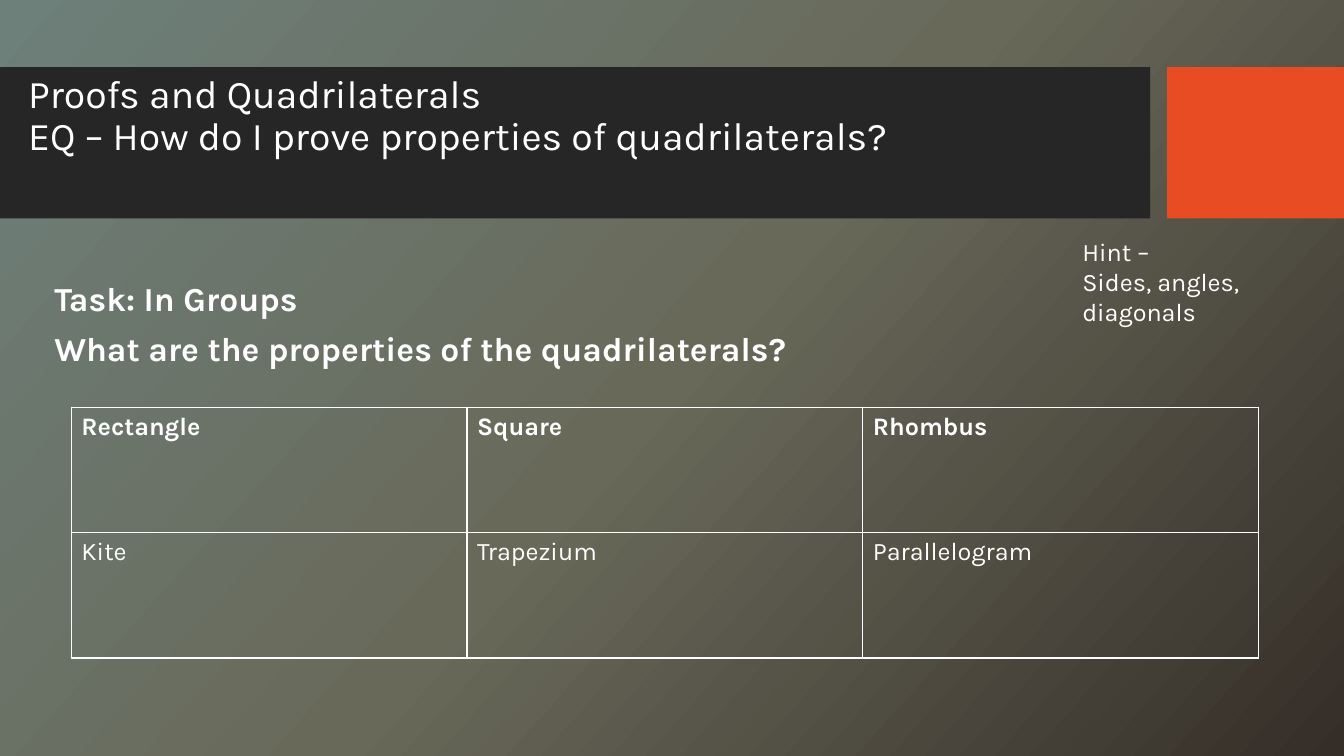
from copy import deepcopy

from lxml import etree
from pptx import Presentation
from pptx.dml.color import RGBColor
from pptx.enum import shapes, text
from pptx.oxml import ns
from pptx.util import Pt

WHITE = RGBColor(0xFF, 0xFF, 0xFF)
DARK = RGBColor(0x26, 0x26, 0x26)
ORANGE = RGBColor(0xE8, 0x4C, 0x22)
SHADES = [
    (0, RGBColor(0x6D, 0x80, 0x7A)),
    (0.5, RGBColor(0x69, 0x69, 0x5A)),
    (1, RGBColor(0x35, 0x2E, 0x28)),
]
FONT = "Karla"
WIDTH, HEIGHT = 960, 540
QUADS = [
    ["Rectangle", "Square", "Rhombus"],
    ["Kite", "Trapezium", "Parallelogram"],
]


def add_run(para, words, size, bold=False):
    run = para.add_run()
    run.text = words
    font = run.font
    font.name, font.size, font.bold = FONT, Pt(size), bold
    font.color.rgb = WHITE


def add_box(slide, box, anchor=text.MSO_ANCHOR.TOP):
    frame = slide.shapes.add_textbox(*map(Pt, box)).text_frame
    frame.word_wrap = True
    frame.vertical_anchor = anchor
    return frame


def add_block(slide, box, color):
    block = slide.shapes.add_shape(shapes.MSO_SHAPE.RECTANGLE, *map(Pt, box))
    block.shadow.inherit = False
    block.fill.solid()
    block.fill.fore_color.rgb = color
    block.line.fill.background()


def draw_ground(slide):
    fill = slide.background.fill
    fill.gradient()
    fill.gradient_angle = 360 - 42
    stops = slide.element.xpath(".//a:gsLst")[0]
    stops.append(deepcopy(stops[0]))
    for stop, (place, color) in zip(fill.gradient_stops, SHADES):
        stop.position = place
        stop.color.rgb = color


def draw_header(slide, box):
    left, top, width, height = box
    # Dark band and orange end block
    band, gap = 821.6, 12
    add_block(slide, (left, top, band, height), DARK)
    end = band + gap
    add_block(slide, (left + end, top, width - end, height), ORANGE)
    # Title in two lines
    frame = add_box(slide, (left + 13, top + 1.6, 758, 70))
    para = frame.paragraphs[0]
    para.line_spacing = 0.9
    add_run(para, "Proofs and Quadrilaterals", 28)
    para.add_line_break()
    add_run(para, "EQ – How do I prove properties of quadrilaterals?", 28)


def draw_task(slide, box):
    frame = add_box(slide, box, text.MSO_ANCHOR.BOTTOM)
    first, second = frame.paragraphs[0], frame.add_paragraph()
    second.space_before = Pt(10)
    first.line_spacing = second.line_spacing = 0.9
    add_run(first, "Task: In Groups", 24, True)
    add_run(second, "What are the properties of the quadrilaterals?", 24, True)


def draw_hint(slide, box):
    frame = add_box(slide, box)
    add_run(frame.paragraphs[0], "Hint –", 18)
    add_run(frame.add_paragraph(), "Sides, angles, diagonals", 18)


def add_edges(cell):
    props = cell._tc.get_or_add_tcPr()
    for place, side in enumerate(("lnL", "lnR", "lnT", "lnB")):
        edge = etree.Element(ns.qn("a:" + side), w=str(Pt(1)))
        fill = etree.SubElement(edge, ns.qn("a:solidFill"))
        etree.SubElement(fill, ns.qn("a:srgbClr"), val=str(WHITE))
        props.insert(place, edge)


def draw_table(slide, box):
    rows, cols = len(QUADS), len(QUADS[0])
    table = slide.shapes.add_table(rows, cols, *map(Pt, box)).table
    table.horz_banding = False
    for r, names in enumerate(QUADS):
        for c, name in enumerate(names):
            cell = table.cell(r, c)
            cell.fill.background()
            add_edges(cell)
            add_run(cell.text_frame.paragraphs[0], name, 18, r == 0)


def main():
    deck = Presentation()
    deck.slide_width, deck.slide_height = Pt(WIDTH), Pt(HEIGHT)
    slide = deck.slides.add_slide(deck.slide_layouts[6])
    draw_ground(slide)
    draw_header(slide, (0, 48, WIDTH, 108))
    draw_task(slide, (31.7, 168, 639, 99))
    draw_table(slide, (51, 290.8, 848, 179.2))
    draw_hint(slide, (766, 165, 194, 73))
    deck.save("out.pptx")


if __name__ == "__main__":
    main()
